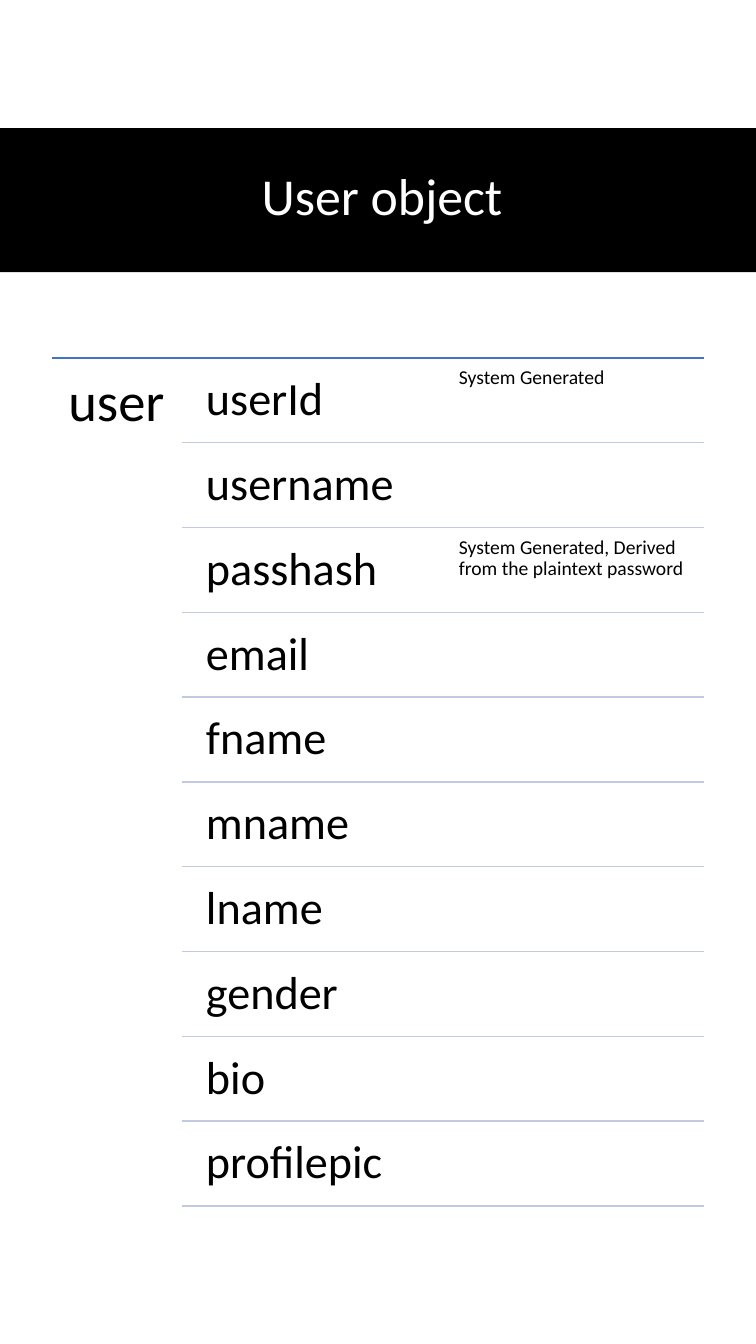
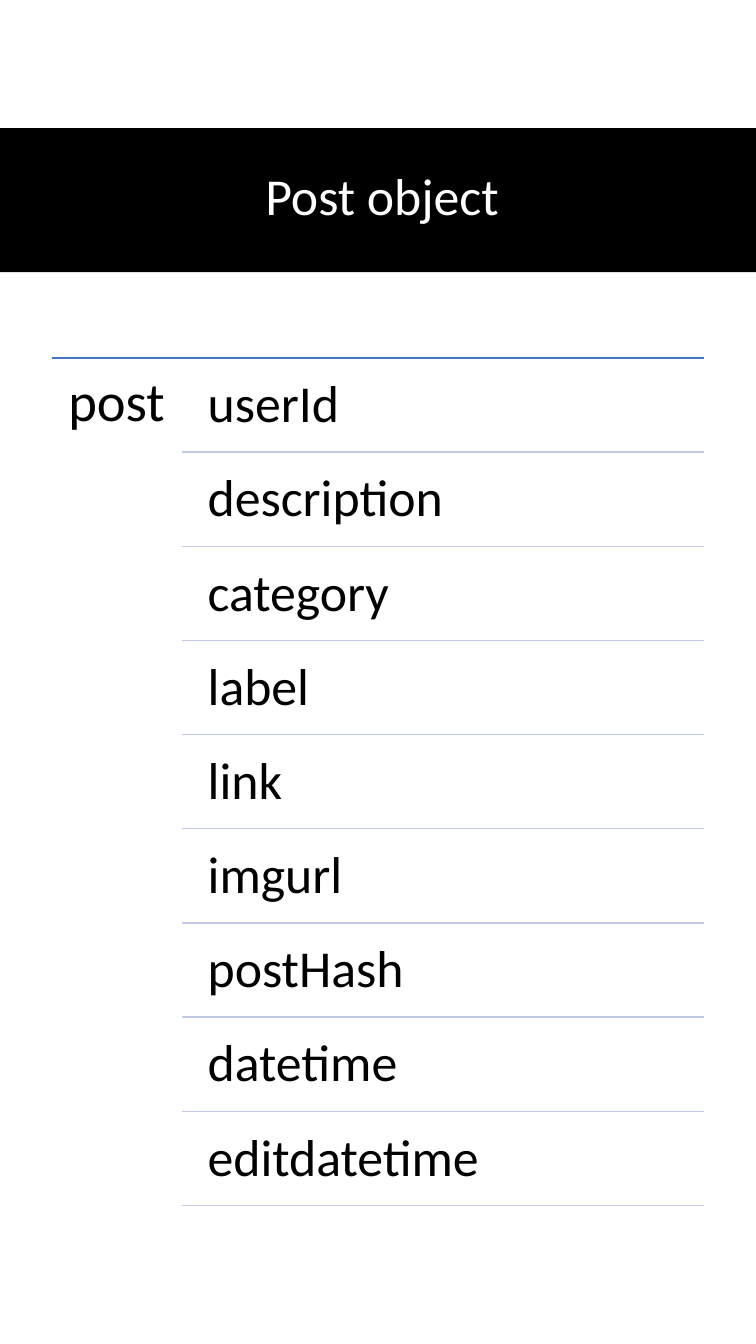
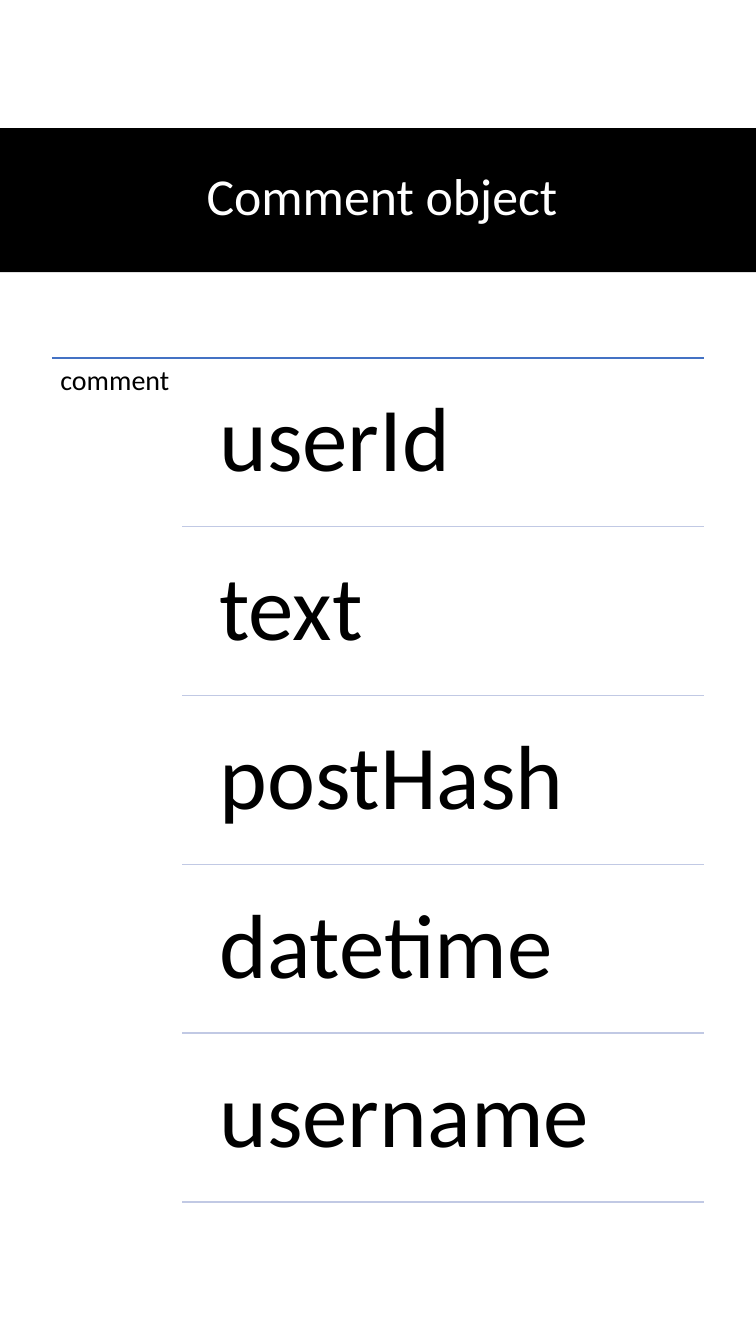
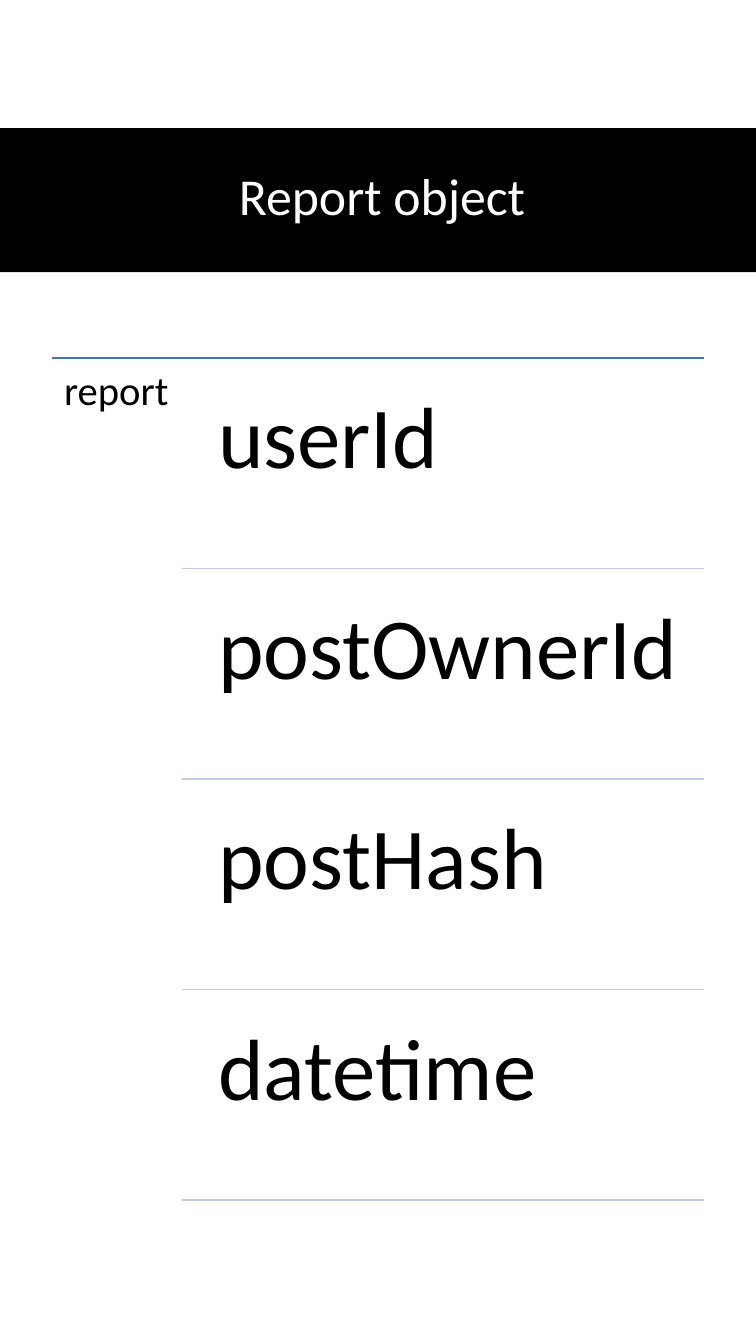
import pptx
import pptx.util
import pptx.dml.color
import pptx.enum.shapes
import pptx.enum.text
import pptx.oxml.ns
import lxml.etree

COLORS = {"band": "000000", "title": "FFFFFF", "text": "000000",
          "top_rule": "4472C4", "row_rule": "C1C9E4"}
FONT = "Calibri"
Inches = pptx.util.Inches
Pt = pptx.util.Pt

# Grid in inches: the label takes one fifth, the fields take the rest
SLIDE_W, SLIDE_H = 7.5, 13.33
TOP, WIDTH, HEIGHT = 3.55, 6.47, 8.45
LEFT = (SLIDE_W - WIDTH) / 2
RIGHT = LEFT + WIDTH
LABEL_W = WIDTH / 5
GUTTER = WIDTH * 0.015
FIELD_X = LEFT + LABEL_W + GUTTER
FIELD_W = RIGHT - FIELD_X
HALF_W = (FIELD_W - GUTTER) / 2
ROW_GAP = 0.05  # share of a row's height
NOTE_SIZE = 14

# title, label, label size, field size, fields, notes by field
OBJECTS = [
    ("User object", "user", 39, 33,
     ["userId", "username", "passhash", "email", "fname", "mname", "lname",
      "gender", "bio", "profilepic"],
     {"userId": "System Generated",
      "passhash": "System Generated, Derived from the plaintext password"}),
    ("Post object", "post", 39, 37,
     ["userId", "description", "category", "label", "link", "imgurl",
      "postHash", "datetime", "editdatetime"], {}),
    ("Comment object", "comment", 20, 65,
     ["userId", "text", "postHash", "datetime", "username"], {}),
    ("Report object", "report", 29, 62,
     ["userId", "postOwnerId", "postHash", "datetime"], {}),
]


def add_text(s, text, size, x, y, w, h):
    """Add a text box whose insets grow with the type size."""
    tf = s.shapes.add_textbox(Inches(x), Inches(y), Inches(w), Inches(h)).text_frame
    tf.word_wrap = True
    tf.margin_left = tf.margin_top = tf.margin_bottom = Pt(0.3 * size)
    tf.margin_right = Pt(0.25 * size)  # slack so the widest word stays on one line
    p = tf.paragraphs[0]
    p.line_spacing = 0.9
    r = p.add_run()
    r.text = text
    r.font.name, r.font.size = FONT, Pt(size)
    r.font.color.rgb = pptx.dml.color.RGBColor.from_string(COLORS["text"])


def add_rule(s, x, y, color):
    """Draw a horizontal line from x to the right edge of the grid."""
    line = s.shapes.add_connector(pptx.enum.shapes.MSO_CONNECTOR.STRAIGHT,
                                  Inches(x), Inches(y), Inches(RIGHT), Inches(y))
    line.line.width = Pt(1)
    line.line.color.rgb = pptx.dml.color.RGBColor.from_string(COLORS[color])
    lxml.etree.SubElement(line._element.spPr, pptx.oxml.ns.qn("a:effectLst"))


prs = pptx.Presentation()
prs.slide_width, prs.slide_height = Inches(SLIDE_W), Inches(SLIDE_H)

layout = prs.slide_layouts.get_by_name("Title Only")
sp = layout.placeholders[0]
sp.left, sp.top, sp.width, sp.height = Inches(0.34), Inches(1.25), Inches(6.9), Inches(1.45)
sp.text_frame.vertical_anchor = pptx.enum.text.MSO_ANCHOR.MIDDLE

for title, label, label_size, field_size, fields, notes in OBJECTS:
    s = prs.slides.add_slide(layout)

    band = s.shapes.add_shape(pptx.enum.shapes.MSO_SHAPE.RECTANGLE,
                              0, Inches(1.27), prs.slide_width, Inches(1.43))
    band.shadow.inherit = False
    band.fill.solid()
    band.fill.fore_color.rgb = pptx.dml.color.RGBColor.from_string(COLORS["band"])
    band.line.fill.background()
    s.shapes.title._element.addprevious(band._element)

    p = s.shapes.title.text_frame.paragraphs[0]
    p.alignment = pptx.enum.text.PP_ALIGN.CENTER
    p.line_spacing = 0.9
    r = p.add_run()
    r.text = title
    r.font.name, r.font.size = FONT, Pt(37)
    r.font.color.rgb = pptx.dml.color.RGBColor.from_string(COLORS["title"])

    add_rule(s, LEFT, TOP, "top_rule")
    add_text(s, label, label_size, LEFT, TOP, LABEL_W, HEIGHT)

    n = len(fields)
    row_h = HEIGHT / (n + ROW_GAP * (n + 1))
    gap = ROW_GAP * row_h
    field_w = HALF_W if notes else FIELD_W
    for i, field in enumerate(fields):
        y = TOP + gap + i * (row_h + gap)
        add_text(s, field, field_size, FIELD_X, y, field_w, row_h)
        if field in notes:
            add_text(s, notes[field], NOTE_SIZE, RIGHT - HALF_W, y, HALF_W, row_h)
        add_rule(s, LEFT + LABEL_W, y + row_h, "row_rule")

prs.save("out.pptx")
